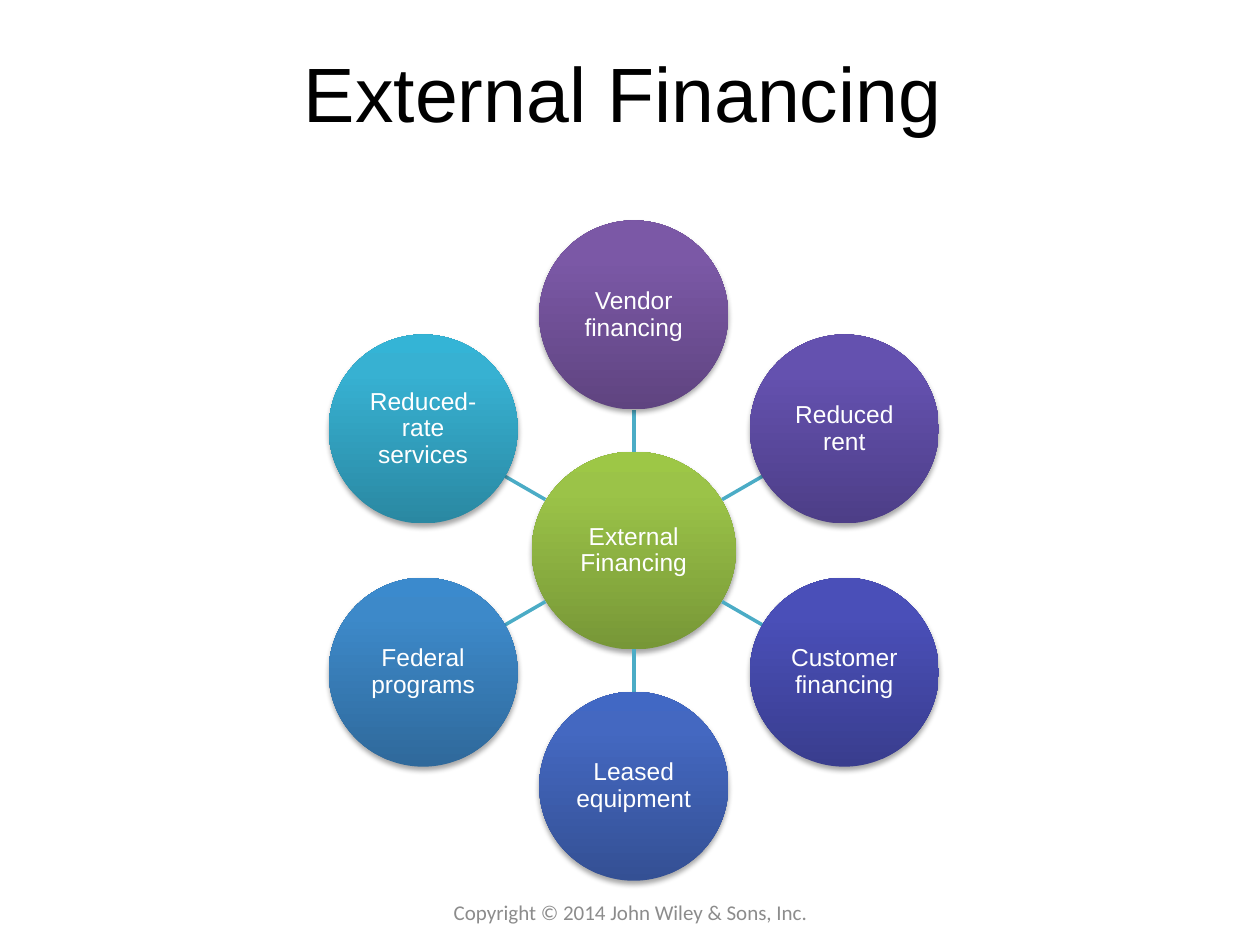
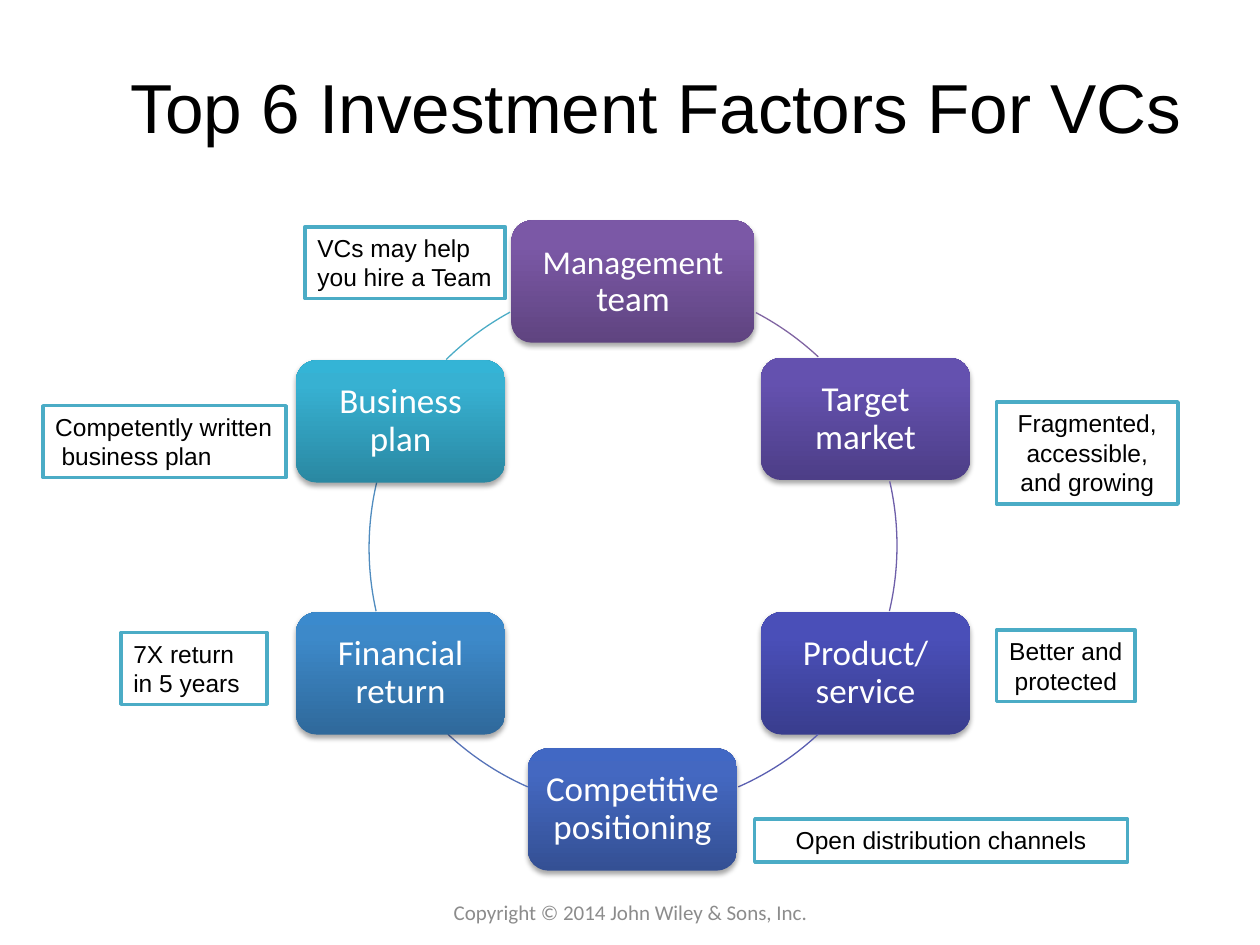
"""Build two slides on external financing and investment factors."""
from copy import deepcopy
from math import cos, radians, sin

from lxml.etree import SubElement
from pptx import Presentation
from pptx.dml.color import RGBColor
from pptx.enum.shapes import MSO_CONNECTOR, MSO_SHAPE
from pptx.enum.text import MSO_ANCHOR, PP_ALIGN
from pptx.oxml.ns import qn
from pptx.util import Inches, Pt

BLACK, WHITE, GREY, TEAL = "000000", "FFFFFF", "8C8C8C", "4BACC6"
GREEN_BLEND = ("779737", "9BC348", "9DC746")
RING_BLENDS = [
    ("5F4480", "7B58A6", "7C57A8"),
    ("4D3E87", "6451AF", "6450B2"),
    ("393D8E", "4A4FB8", "484EBB"),
    ("345094", "4468C1", "4168C4"),
    ("2F699B", "3D89C9", "3B8ACD"),
    ("2A88A2", "37B1D2", "34B4D6"),
]
FOOTER = "Copyright © 2014 John Wiley & Sons, Inc."

HUB_X, HUB_Y, HUB_WIDTH, HUB_HEIGHT = 5.03, 4.37, 1.62, 1.57
SATELLITE_SIZE = 1.5
SOURCES = ["Vendor financing", "Reduced rent", "Customer financing",
           "Leased equipment", "Federal programs", "Reduced-rate services"]

FACTOR_WIDTH, FACTOR_HEIGHT = 1.66, 0.97
FACTORS = [
    ((("Management", 19), (" team", 20)), 4.06, 1.75, 1.93),
    ("Target market", 6.04, 2.84, FACTOR_WIDTH),
    ("Product/ service", 6.04, 4.86, FACTOR_WIDTH),
    ("Competitive positioning", 4.19, 5.94, FACTOR_WIDTH),
    ("Financial return", 2.35, 4.86, FACTOR_WIDTH),
    ("Business plan", 2.35, 2.86, FACTOR_WIDTH),
]
ARC_SIZE = 4.56
ARCS = [
    (2.66, 2.22, 297.7, 313, "8064A2"),
    (2.56, 2.05, 347.1, 13.2, "6E5FA9"),
    (2.66, 1.88, 47, 66.2, "5A5EB1"),
    (2.83, 1.88, 113.8, 133, "5572B8"),
    (2.93, 2.07, 167.3, 193.2, "508CBF"),
    (2.86, 2.2, 225.5, 241.4, TEAL),
]


def colour(value):
    """Turn a hex string into a colour."""
    return RGBColor.from_string(value)


def write_text(frame, paragraphs, size=14, font="Arial", ink=BLACK, align=PP_ALIGN.CENTER,
               anchor=MSO_ANCHOR.MIDDLE, inset=None, spacing=None, wrap=True):
    """Fill a text frame; a paragraph is a string or a series of (text, size) spans."""
    frame.word_wrap = wrap
    frame.vertical_anchor = anchor
    if inset is not None:
        frame.margin_left = frame.margin_right = Inches(inset)
        frame.margin_top = frame.margin_bottom = Inches(inset)
    for index, spans in enumerate(paragraphs):
        para = frame.add_paragraph() if index else frame.paragraphs[0]
        para.alignment = align
        if spacing:
            para.line_spacing = spacing
        for text, points in [(spans, size)] if isinstance(spans, str) else spans:
            span = para.add_run()
            span.text = text
            span.font.size = Pt(points)
            span.font.name = font
            span.font.color.rgb = colour(ink)


def add_text(page, text, left, top, width, height, **style):
    """Add a text box holding one paragraph."""
    box = page.shapes.add_textbox(Inches(left), Inches(top), Inches(width), Inches(height))
    write_text(box.text_frame, [text], **style)


def add_page(deck, title, left, top, width, height, size):
    """Add a blank slide with its title and footer."""
    page = deck.slides.add_slide(deck.slide_layouts[6])
    add_text(page, title, left, top, width, height, size=size)
    add_text(page, FOOTER, 3.42, 6.98, 3.17, 0.52, size=12, font="Calibri", ink=GREY)
    return page


def add_flat_shape(page, kind, left, top, width, height):
    """Add a preset shape without a shadow."""
    shape = page.shapes.add_shape(kind, Inches(left), Inches(top), Inches(width), Inches(height))
    shape.shadow.inherit = False
    return shape


def fill_blend(shape, blend):
    """Fill a shape with a three-stop blend running upwards."""
    shape.fill.gradient()
    shape.fill.gradient_angle = 90
    stop_list = shape._element.spPr.find(qn("a:gradFill")).find(qn("a:gsLst"))
    stop_list.append(deepcopy(stop_list[-1]))
    for stop, position, value in zip(shape.fill.gradient_stops, (0, 0.8, 1), blend):
        stop.position = position
        stop.color.rgb = colour(value)


def cast_shadow(shape):
    """Give a shape a soft shadow straight below it."""
    effects = shape._element.spPr.find(qn("a:effectLst"))
    shadow = SubElement(effects, qn("a:outerShdw"), blurRad=str(Pt(3.1)), dist=str(Pt(1.8)),
                        dir="5400000", rotWithShape="0")
    ink = SubElement(shadow, qn("a:srgbClr"), val=BLACK)
    SubElement(ink, qn("a:alpha"), val="35000")


def add_node(page, kind, label, left, top, width, height, blend, **style):
    """Add a blended, shadowed shape with a white label."""
    node = add_flat_shape(page, kind, left, top, width, height)
    fill_blend(node, blend)
    node.line.fill.background()
    cast_shadow(node)
    write_text(node.text_frame, [label], ink=WHITE, spacing=0.9, **style)


def add_circle(page, label, x, y, width, height, blend):
    """Add a labelled ellipse around a centre point."""
    add_node(page, MSO_SHAPE.OVAL, label, x - width / 2, y - height / 2, width, height,
             blend, inset=0.01)


def add_spoke(page, start, end):
    """Draw a straight line between two points."""
    spoke = page.shapes.add_connector(MSO_CONNECTOR.STRAIGHT, *map(Inches, start + end))
    spoke.line.color.rgb = colour(TEAL)
    spoke.line.width = Pt(2)
    SubElement(spoke._element.spPr, qn("a:effectLst"))


def hub_point(degrees, distance):
    """Find the point at a clockwise angle from the top of the hub."""
    angle = radians(degrees)
    return HUB_X + distance * sin(angle), HUB_Y - distance * cos(angle)


def add_arc(page, left, top, start, end, ink):
    """Draw a thin circular arc between two clockwise angles."""
    arc = add_flat_shape(page, MSO_SHAPE.ARC, left, top, ARC_SIZE, ARC_SIZE)
    arc.adjustments[0] = start * 0.6
    arc.adjustments[1] = end * 0.6
    arc.fill.background()
    arc.line.color.rgb = colour(ink)
    arc.line.width = Pt(0.75)


def add_note(page, lines, left, top, width, height, **style):
    """Add a white note with a teal frame."""
    note = add_flat_shape(page, MSO_SHAPE.RECTANGLE, left, top, width, height)
    note.fill.solid()
    note.fill.fore_color.rgb = colour(WHITE)
    note.line.color.rgb = colour(TEAL)
    note.line.width = Pt(2)
    write_text(note.text_frame, lines, anchor=MSO_ANCHOR.TOP, **style)
    return note


def build_financing(deck):
    """Build the hub of external financing sources."""
    page = add_page(deck, "External Financing", 0.69, 0.1, 8.51, 1.25, 44)
    add_circle(page, "External Financing", HUB_X, HUB_Y, HUB_WIDTH, HUB_HEIGHT, GREEN_BLEND)
    for index, (label, blend) in enumerate(zip(SOURCES, RING_BLENDS)):
        degrees = index * 60
        upright = index % 3 == 0
        distance = 1.87 if upright else 1.93
        hub_edge = (HUB_HEIGHT if upright else HUB_WIDTH) / 2
        add_spoke(page, hub_point(degrees, hub_edge),
                  hub_point(degrees, distance - SATELLITE_SIZE / 2))
        add_circle(page, label, *hub_point(degrees, distance),
                   SATELLITE_SIZE, SATELLITE_SIZE, blend)


def build_factors(deck):
    """Build the cycle of investment factors with its notes."""
    page = add_page(deck, "Top 6 Investment Factors For VCs", 0.67, 0.38, 9.08, 0.92, 39.6)
    for (label, left, top, width), arc, blend in zip(FACTORS, ARCS, RING_BLENDS):
        add_node(page, MSO_SHAPE.ROUNDED_RECTANGLE, label, left, top, width, FACTOR_HEIGHT,
                 blend, size=20, font="Calibri", inset=0.08)
        add_arc(page, *arc)
    left_side = PP_ALIGN.LEFT
    add_note(page, ["VCs may help", "you hire a Team"], 2.42, 1.8, 1.59, 0.57,
             align=left_side, wrap=False)
    add_note(page, ["Fragmented,", "accessible, and growing"], 7.91, 3.19, 1.44, 0.81)
    add_note(page, ["Better and", "protected"], 7.91, 5, 1.1, 0.57, wrap=False)
    add_note(page, ["Open distribution channels"], 5.99, 6.5, 2.96, 0.34)
    add_note(page, ["7X return in 5 years"], 0.96, 5.02, 1.16, 0.57, align=left_side)
    plan = add_note(page, ["Competently written", "business plan"], 0.34, 3.22, 1.93, 0.57,
                    align=left_side, wrap=False)
    plan.text_frame.paragraphs[1]._p.get_or_add_pPr().set("marL", str(Inches(0.05)))


def main():
    """Build and save the deck."""
    deck = Presentation()
    deck.slide_width, deck.slide_height = Inches(10), Inches(7.5)
    build_financing(deck)
    build_factors(deck)
    deck.save("out.pptx")


if __name__ == "__main__":
    main()
